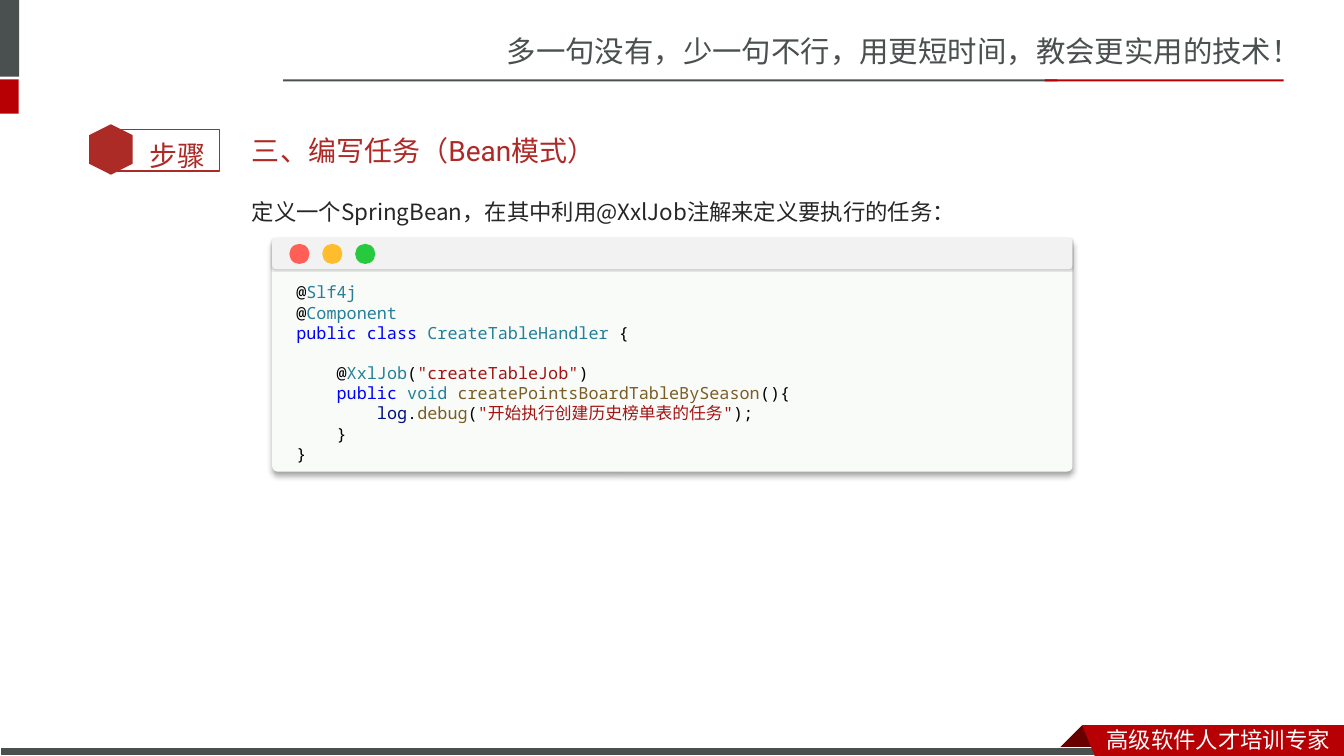
from lxml.etree import SubElement
from pptx import Presentation
from pptx.dml.color import RGBColor
from pptx.enum.shapes import MSO_SHAPE
from pptx.enum.text import MSO_ANCHOR, MSO_AUTO_SIZE, PP_ALIGN
from pptx.oxml import parse_xml
from pptx.oxml.ns import nsdecls, qn
from pptx.util import Pt

WIDTH, HEIGHT = 960, 540
GRAY, RED, DARK_RED, BRICK = "49504F", "B60004", "680000", "AD2B26"
BLACK, WHITE = "000000", "FFFFFF"
BLUE, TEAL, BROWN, MAROON, NAVY = "0000FF", "267F99", "795E26", "A31515", "001080"
CHINESE = "Noto Sans CJK SC"

CODE_INDENT = 28.8
CODE_LINE = 14.4
# Each line of code: indent level, blank lines above, coloured parts
CODE = [
    (0, 0, [("@", BLACK), ("Slf4j", TEAL)]),
    (0, 0, [("@", BLACK), ("Component", TEAL)]),
    (0, 0, [("public class ", BLUE), ("CreateTableHandler", TEAL), (" {", BLACK)]),
    (1, 1, [("@", BLACK), ("XxlJob", TEAL), ("(", BLACK),
            ('"createTableJob"', MAROON), (")", BLACK)]),
    (1, 0, [("public ", BLUE), ("void ", TEAL),
            ("createPointsBoardTableBySeason", BROWN), ("(){", BLACK)]),
    (2, 0, [("log", NAVY), (".", BLACK), ("debug", BROWN), ("(", BLACK),
            ('"开始执行创建历史榜单表的任务"', MAROON), (");", BLACK)]),
    (1, 0, [("}", BLACK)]),
    (0, 0, [("}", BLACK)]),
]


def rgb(color):
    return RGBColor.from_string(color)


def write(paragraph, text, size, color, font=CHINESE, spacing=None):
    """Add a run of formatted text to the paragraph."""
    run = paragraph.add_run()
    run.text = text
    run.font.size = Pt(size)
    run.font.name = font
    run.font.color.rgb = rgb(color)
    SubElement(run.font._element, qn("a:ea"), typeface=CHINESE)
    paragraph.alignment = PP_ALIGN.LEFT
    if spacing:
        paragraph.line_spacing = spacing


def paint(shape, fill=None, line=None, weight=1):
    shape.shadow.inherit = False
    if fill:
        shape.fill.solid()
        shape.fill.fore_color.rgb = rgb(fill)
    else:
        shape.fill.background()
    if line:
        shape.line.color.rgb = rgb(line)
        shape.line.width = Pt(weight)
    else:
        shape.line.fill.background()
    return shape


def draw(shapes, kind, box, **style):
    return paint(shapes.add_shape(kind, *map(Pt, box)), **style)


def outline(shapes, points, fill):
    """Draw a closed polygon through the points."""
    builder = shapes.build_freeform(*points[0], scale=Pt(1))
    builder.add_line_segments(points[1:], close=True)
    paint(builder.convert_to_shape(), fill)


def text_frame(shapes, box):
    frame = shapes.add_textbox(*map(Pt, box)).text_frame
    frame.word_wrap = True
    return frame


def cast_shadow(shape, opacity, blur, distance):
    """Put a black shadow straight below the shape."""
    effects = shape._element.spPr.find(qn("a:effectLst"))
    effects.append(parse_xml(
        f'<a:outerShdw {nsdecls("a")} blurRad="{Pt(blur)}" dist="{Pt(distance)}" '
        f'dir="5400000" algn="t" rotWithShape="0"><a:srgbClr val="{BLACK}">'
        f'<a:alpha val="{opacity * 1000}"/></a:srgbClr></a:outerShdw>'))


def add_header(shapes, left, top, width):
    """Slogan over a two-coloured rule, with tabs at the slide's left edge."""
    slogan = text_frame(shapes, (left + 152.6, top - 36.7, 605.5, 33.8))
    write(slogan.paragraphs[0], "多一句没有，少一句不行，用更短时间，教会更实用的技术！", 21, GRAY)
    red_width = 170.6
    for box, color in [
        ((0, 0, 13.7, 54.7), GRAY),
        ((0, top, 13.3, 24.5), RED),
        ((left, top, 553, 1.5), GRAY),
        ((left + width - red_width, top, red_width, 1.5), RED),
    ]:
        draw(shapes, MSO_SHAPE.RECTANGLE, box, fill=color)


def add_footer(shapes, left, top):
    """Grey strip and a folded red ribbon that runs to the slide's right edge."""
    outline(shapes, [(left, top), (left + 15.8, top + 16), (left + 15.1, HEIGHT - 5),
                     (left - 15.1, HEIGHT - 5), (left - 15.8, top + 16)], DARK_RED)
    draw(shapes, MSO_SHAPE.RECTANGLE, (0, HEIGHT - 6.3, 791, 6.3),
         fill=GRAY, line=WHITE, weight=0.75)
    outline(shapes, [(left, top), (WIDTH, top), (WIDTH, HEIGHT), (left + 9, HEIGHT)], RED)
    motto = text_frame(shapes, (left + 10.8, top - 3.6, 176.6, 26.6))
    write(motto.paragraphs[0], "高级软件人才培训专家", 16, WHITE)


def add_step_badge(shapes, left, top):
    parts = shapes.add_group_shape().shapes
    draw(parts, MSO_SHAPE.RECTANGLE, (left + 17.3, top + 3.4, 78.5, 29.8), line=BRICK)
    hexagon = draw(parts, MSO_SHAPE.HEXAGON, (left, top + 2.4, 36, 31), fill=BRICK)
    hexagon.rotation = 90
    label = text_frame(parts, (left + 38.2, top - 5.5, 61.2, 40.3))
    write(label.paragraphs[0], "步骤", 20, BRICK, font="Arial", spacing=1.5)


def add_content(slide, left, top, width):
    heading, body = slide.shapes.title, slide.placeholders[1]
    for holder, offset, height in [(heading, 0, 41), (body, 41, 342)]:
        holder.left, holder.top = Pt(left), Pt(top + offset)
        holder.width, holder.height = Pt(width), Pt(height)
        holder.text_frame.auto_size = MSO_AUTO_SIZE.NONE
    heading.text_frame.vertical_anchor = MSO_ANCHOR.MIDDLE
    write(heading.text_frame.paragraphs[0], "三、编写任务（Bean模式）", 20, "AD2A26", font="Roboto")

    task = body.text_frame.paragraphs[0]
    write(task, "定义一个SpringBean，在其中利用@XxlJob注解来定义要执行的任务：", 16, "262626",
          font="Noto Sans CJK JP", spacing=1.5)
    properties = task._p.get_or_add_pPr()
    properties.set("marL", "0")
    properties.set("indent", "0")
    SubElement(properties, qn("a:buNone"))


def add_code_window(shapes, left, top, width, height):
    parts = shapes.add_group_shape().shapes
    window = draw(parts, MSO_SHAPE.ROUNDED_RECTANGLE, (left, top, width, height), fill="F9FBF9")
    window.adjustments[0] = 0.024
    cast_shadow(window, 34, 4, 3)

    listing = text_frame(parts, (left, top + 28.1, width, height - 28.8))
    listing.margin_left = listing.margin_right = Pt(17.3)
    for number, (level, blanks, pieces) in enumerate(CODE):
        line = listing.add_paragraph() if number else listing.paragraphs[0]
        line._p.get_or_add_pPr().set("marL", str(Pt(level * CODE_INDENT)))
        line.space_before = Pt(blanks * CODE_LINE)
        for text, color in pieces:
            write(line, text, 12, color, font="Noto Sans Mono")

    bar = draw(parts, MSO_SHAPE.ROUNDED_RECTANGLE, (left, top, width, 22.3), fill="F2F2F2")
    bar.adjustments[0] = 0.128
    cast_shadow(bar, 20, 1, 1)
    for number, color in enumerate(["FF5F56", "FFBD2E", "27C93F"]):
        draw(parts, MSO_SHAPE.OVAL, (left + 12.3 + number * 23.5, top + 4.3, 14.4, 14.4),
             fill=color)


def main():
    deck = Presentation()
    deck.slide_width, deck.slide_height = Pt(WIDTH), Pt(HEIGHT)
    slide = deck.slides.add_slide(deck.slide_layouts[1])
    add_header(slide.shapes, 202.3, 56.7, 714.7)
    add_footer(slide.shapes, 772.6, 518.4)
    add_step_badge(slide.shapes, 61.2, 88.9)
    add_content(slide, 172.8, 87.1, 725.8)
    add_code_window(slide.shapes, 194.4, 169.9, 571.7, 167)
    deck.save("out.pptx")


if __name__ == "__main__":
    main()
